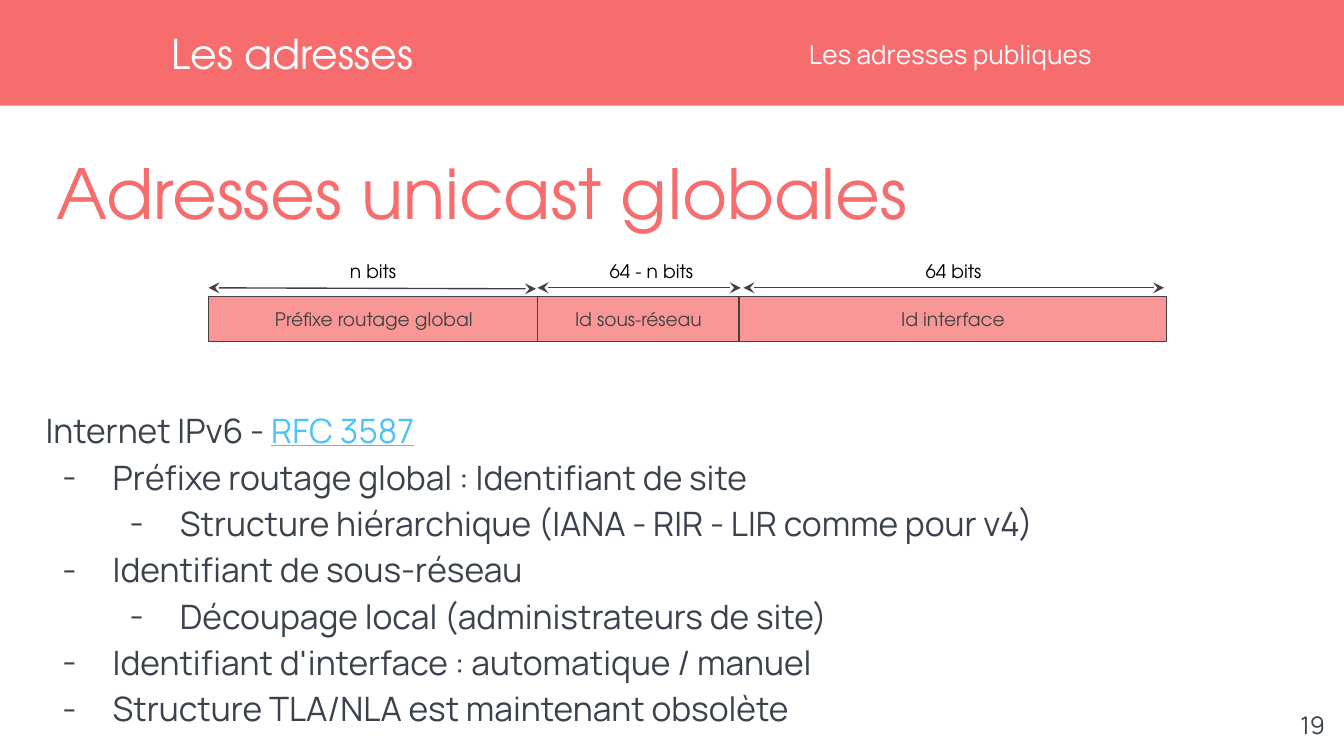
from lxml import etree
from pptx import Presentation
from pptx.dml.color import RGBColor
from pptx.enum.shapes import MSO_CONNECTOR, MSO_SHAPE
from pptx.enum.text import MSO_ANCHOR, MSO_AUTO_SIZE, PP_ALIGN
from pptx.oxml.ns import qn
from pptx.util import Cm, Pt

RECTANGLE = MSO_SHAPE.RECTANGLE
STRAIGHT = MSO_CONNECTOR.STRAIGHT
TOP, MIDDLE = MSO_ANCHOR.TOP, MSO_ANCHOR.MIDDLE
LEFT, CENTER, RIGHT = PP_ALIGN.LEFT, PP_ALIGN.CENTER, PP_ALIGN.RIGHT
NO_AUTOFIT = MSO_AUTO_SIZE.NONE

COLORS = {"coral": "F76C6C", "field": "F99797", "line": "424242", "text": "3B424E",
          "link": "4FC3F7", "white": "FFFFFF", "black": "000000"}
RGB = {name: RGBColor.from_string(value) for name, value in COLORS.items()}
HEADING, BODY = "TeX Gyre Adventor", "Manrope"


def prepare(shape, box, anchor, margin=0):
    shape.left, shape.top, shape.width, shape.height = [Cm(value) for value in box]
    frame = shape.text_frame
    settings = {"word_wrap": True, "auto_size": NO_AUTOFIT, "vertical_anchor": anchor}
    for side in ("left", "top", "right", "bottom"):
        settings["margin_" + side] = Cm(margin)
    for name, value in settings.items():
        setattr(frame, name, value)
    return frame


def write(paragraph, text, font_name, size, color, alignment=LEFT, underline=False):
    paragraph.alignment = alignment
    run = paragraph.add_run()
    run.text = text
    settings = {"name": font_name, "size": Pt(size), "bold": False, "underline": underline}
    for name, value in settings.items():
        setattr(run.font, name, value)
    run.font.color.rgb = RGB[color]


presentation = Presentation()
presentation.slide_width, presentation.slide_height = Cm(25.4), Cm(14.29)
slide = presentation.slides.add_slide(presentation.slide_layouts[1])
shapes = slide.shapes

band = shapes.add_shape(RECTANGLE, Cm(-0.05), 0, Cm(25.5), Cm(2))
band.shadow.inherit = False
band.fill.solid()
band.fill.fore_color.rgb = RGB["coral"]
band.line.fill.background()

title_frame = prepare(shapes.title, (1.07, 2.84, 23.52, 1.47), TOP)
write(title_frame.paragraphs[0], "Adresses unicast globales", HEADING, 37, "coral")

TEXT_BOXES = [
    ("Les adresses", (3.25, 0, 11.91, 2), MIDDLE, 0, HEADING, 22, "white", LEFT),
    ("Les adresses publiques", (15.29, 0.53, 9.75, 1), MIDDLE, 0, BODY, 14, "white", LEFT),
    ("19", (23.77, 13.18, 1.52, 1.09), TOP, 0.25, BODY, 13, "text", RIGHT),
    ("n bits", (6.07, 4.67, 1.96, 0.94), TOP, 0.25, HEADING, 10, "black", CENTER),
    ("64 - n bits", (10.9, 4.67, 2.82, 0.94), TOP, 0.25, HEADING, 10, "black", CENTER),
    ("64 bits", (17.04, 4.67, 1.96, 0.94), TOP, 0.25, HEADING, 10, "black", CENTER),
]
for text, box, anchor, margin, font_name, size, color, alignment in TEXT_BOXES:
    text_box = shapes.add_textbox(0, 0, 0, 0)
    frame = prepare(text_box, box, anchor, margin)
    write(frame.paragraphs[0], text, font_name, size, color, alignment)

FIELDS = [("Préfixe routage global", 3.94, 6.25), ("Id sous-réseau", 10.16, 3.81),
          ("Id interface", 13.97, 8.08)]
for text, left, width in FIELDS:
    field = shapes.add_shape(RECTANGLE, 0, 0, 0, 0)
    field.shadow.inherit = False
    field.fill.solid()
    field.fill.fore_color.rgb = RGB["field"]
    field.line.color.rgb = RGB["line"]
    field.line.width = Pt(0.75)
    frame = prepare(field, (left, 5.61, width, 0.85), MIDDLE, 0.25)
    write(frame.paragraphs[0], text, HEADING, 10, "line", CENTER)

for start, end, end_top in [(3.94, 10.13, 5.46), (10.16, 14, 5.44), (14.05, 22, 5.44)]:
    arrow = shapes.add_connector(STRAIGHT, Cm(start), Cm(5.44), Cm(end), Cm(end_top))
    arrow.line.color.rgb = RGB["line"]
    arrow.line.width = Pt(0.75)
    line = arrow.line._get_or_add_ln()
    for tag in ("a:headEnd", "a:tailEnd"):
        etree.SubElement(line, qn(tag), type="stealth")
    etree.SubElement(arrow._element.spPr, qn("a:effectLst"))

ITEMS = [
    (0, "Internet IPv6 - "),
    (1, "Préfixe routage global : Identifiant de site"),
    (2, "Structure hiérarchique (IANA - RIR - LIR comme pour v4)"),
    (1, "Identifiant de sous-réseau"),
    (2, "Découpage local (administrateurs de site)"),
    (1, "Identifiant d'interface : automatique / manuel"),
    (1, "Structure TLA/NLA est maintenant obsolète"),
]
body_frame = prepare(slide.placeholders[1], (0.86, 7.44, 22.91, 6.53), MIDDLE)
for index, (depth, text) in enumerate(ITEMS):
    paragraph = body_frame.add_paragraph() if index else body_frame.paragraphs[0]
    spacing = {"level": max(depth - 1, 0), "line_spacing": 1.15,
               "space_before": Pt(0), "space_after": Pt(0)}
    for name, value in spacing.items():
        setattr(paragraph, name, value)
    properties = paragraph._p.get_or_add_pPr()
    properties.set("marL", str(Cm(1.27 * depth)))
    properties.set("indent", str(Cm(-0.95 if depth else 0)))
    if depth:
        bullet_color = etree.SubElement(properties, qn("a:buClr"))
        etree.SubElement(bullet_color, qn("a:srgbClr"), val=COLORS["text"])
        etree.SubElement(properties, qn("a:buFont"), typeface=BODY)
        etree.SubElement(properties, qn("a:buChar"), char="-")
    else:
        etree.SubElement(properties, qn("a:buNone"))
    write(paragraph, text, BODY, 18, "text")
write(body_frame.paragraphs[0], "RFC 3587", BODY, 18, "link", underline=True)

presentation.save("out.pptx")
